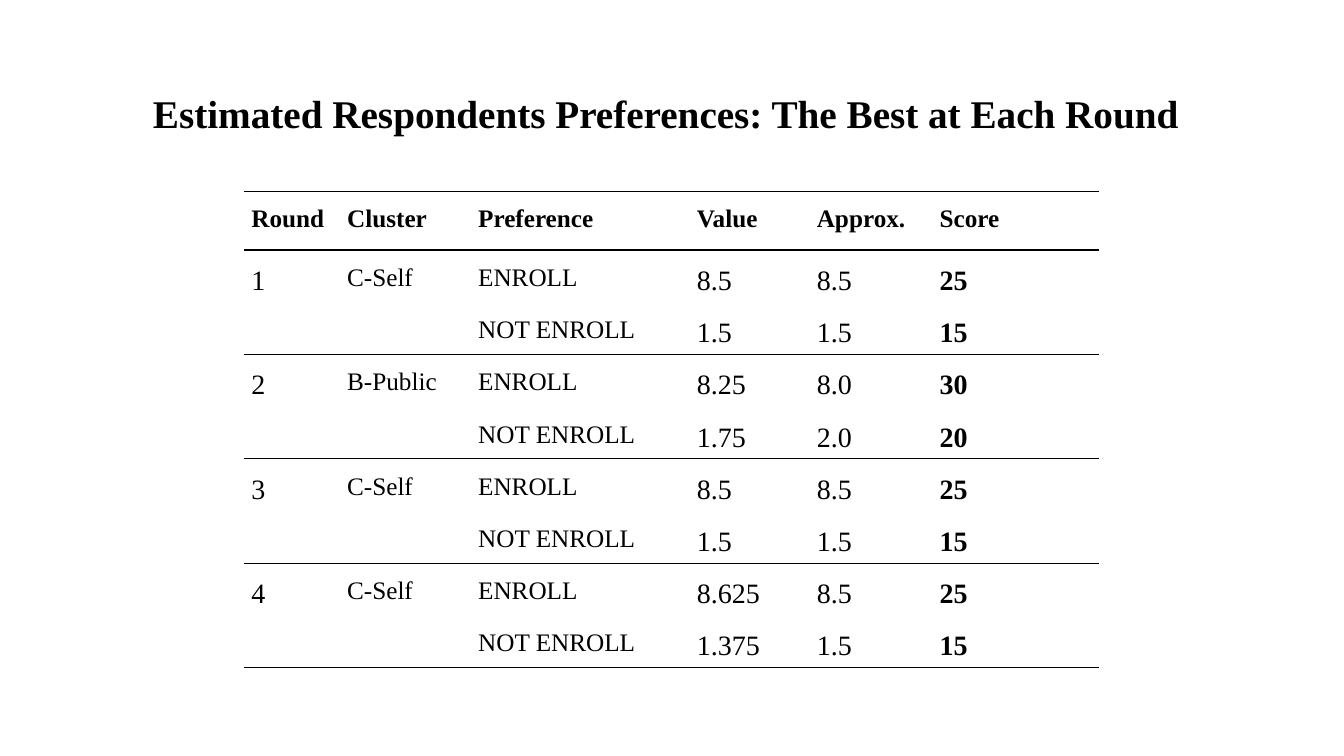
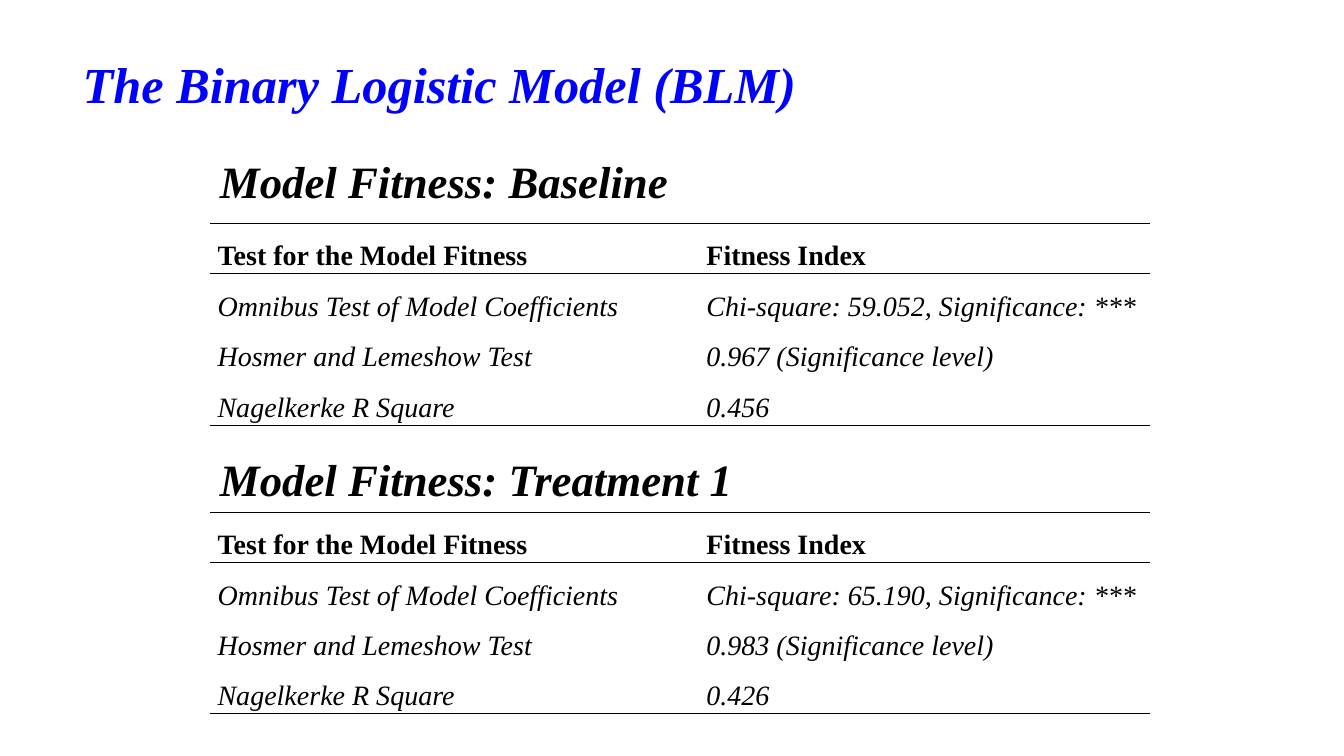
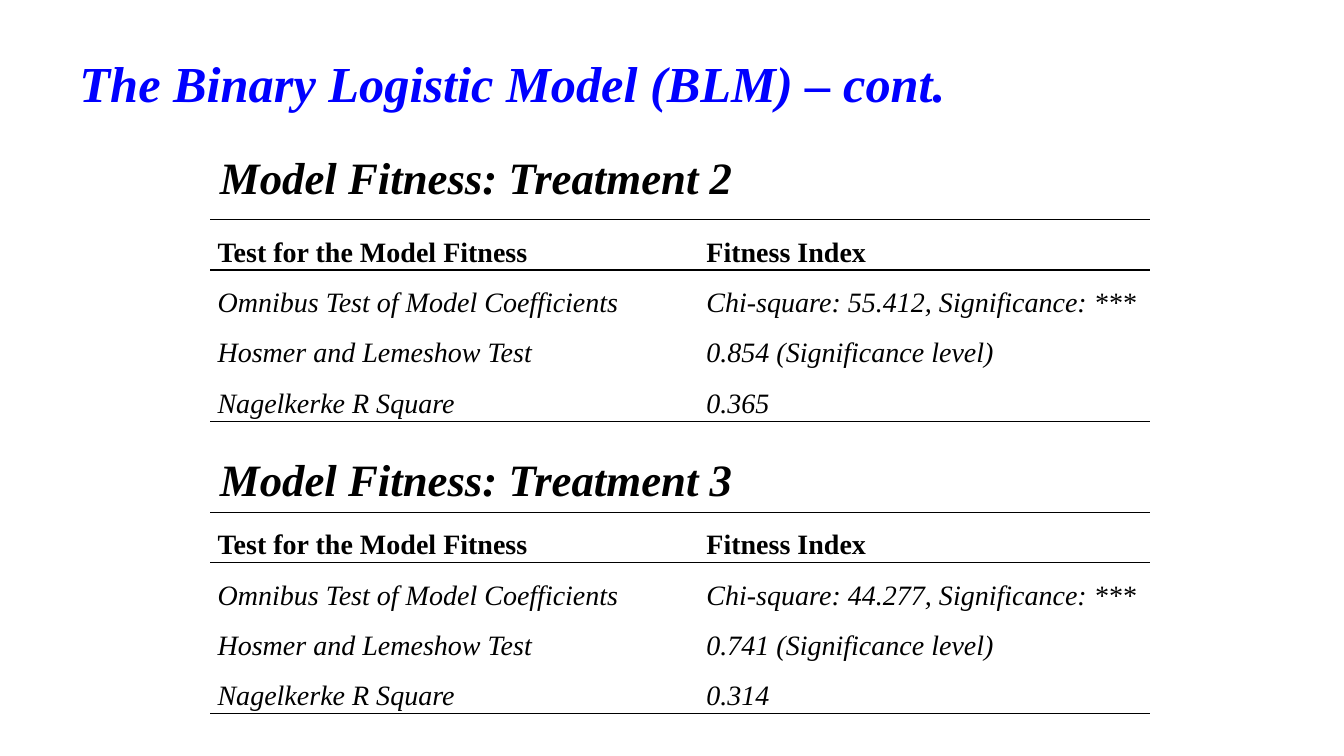
import lxml.etree
import pptx
import pptx.dml.color
import pptx.enum.text
import pptx.oxml.ns
import pptx.util

Pt = pptx.util.Pt
ALIGN = pptx.enum.text.PP_ALIGN
ANCHOR = pptx.enum.text.MSO_ANCHOR

FONT = "Times New Roman"
COLORS = {"text": "000000", "title": "0000FF", "rule": "000000"}
PLAIN_TABLE = "{2D5ABB26-0587-4C30-8999-92F81FD0307C}"

# Content: preferences
PREFERENCE_TITLE = "Estimated Respondents Preferences: The Best at Each Round"
PREFERENCE_HEADER = ("Round", "Cluster", "Preference", "Value", "Approx.", "Score")
ANSWERS = ("ENROLL", "NOT ENROLL")
ROUNDS = [  # cluster, then (value, approximation, score) for each answer
    ("C-Self", ("8.5", "8.5", "25"), ("1.5", "1.5", "15")),
    ("B-Public", ("8.25", "8.0", "30"), ("1.75", "2.0", "20")),
    ("C-Self", ("8.5", "8.5", "25"), ("1.5", "1.5", "15")),
    ("C-Self", ("8.625", "8.5", "25"), ("1.375", "1.5", "15")),
]
PREFERENCE_WIDTHS = (68.4, 93.6, 156.2, 85.7, 87.8, 119.5)
PREFERENCE_SIZES = (20, 18, 18, 20, 20, 20)
SCORE_COLUMN = 5

# Content: model fitness
FITNESS_HEADER = ("Test for the Model Fitness", "Fitness Index")
FITNESS_WIDTHS = (349.2, 322.6)
FITNESS_LEFT = 150
MODEL_SLIDES = [
    # title, its left and top; sections: name, heading top, table top, indices
    ("The Binary Logistic Model (BLM)", 52, 13, [
        ("Baseline", 87, 159.6, "59.052", "0.967", "0.456"),
        ("Treatment 1", 300.2, 365.8, "65.190", "0.983", "0.426"),
    ]),
    ("The Binary Logistic Model (BLM) – cont.", 49.7, 12.2, [
        ("Treatment 2", 84.2, 156.8, "55.412", "0.854", "0.365"),
        ("Treatment 3", 300.2, 365.8, "44.277", "0.741", "0.314"),
    ]),
]


def style_font(paragraph, size, color="text", bold=False, italic=False):
    font = paragraph.font
    font.name, font.size, font.bold, font.italic = FONT, Pt(size), bold, italic
    font.color.rgb = pptx.dml.color.RGBColor.from_string(COLORS[color])


def add_heading(slide, text, left, top, width, height, size, color="text",
                italic=True, spacing=1.5, wrap=True):
    box = slide.shapes.add_textbox(Pt(left), Pt(top), Pt(width), Pt(height))
    frame = box.text_frame
    frame.word_wrap = wrap
    frame.auto_size = pptx.enum.text.MSO_AUTO_SIZE.SHAPE_TO_FIT_TEXT
    paragraph = frame.paragraphs[0]
    paragraph.text = text
    paragraph.line_spacing = spacing
    style_font(paragraph, size, color, True, italic)


def rule_cell(cell, sides):
    """Draw a 1 pt line on each given side ("T", "B"), none on the others."""
    properties = cell._tc.get_or_add_tcPr()
    qn = pptx.oxml.ns.qn
    for side in "LRTB":
        line = lxml.etree.SubElement(properties, qn("a:ln" + side), w=str(Pt(1)))
        if side in sides:
            fill = lxml.etree.SubElement(line, qn("a:solidFill"))
            lxml.etree.SubElement(fill, qn("a:srgbClr"), val=COLORS["rule"])
        else:
            lxml.etree.SubElement(line, qn("a:noFill"))
    cell.fill.background()


def add_ruled_table(slide, rows, left, top, widths, heights, ruled_rows,
                    style_cell, anchor, align, merged_pairs=()):
    """Lines run above the table and below each of the ruled rows."""
    table = slide.shapes.add_table(len(rows), len(widths), Pt(left), Pt(top),
                                   Pt(sum(widths)), Pt(sum(heights))).table
    table.first_row = table.horz_banding = False
    table._tbl.tblPr.find(pptx.oxml.ns.qn("a:tableStyleId")).text = PLAIN_TABLE
    for column, width in zip(table.columns, widths):
        column.width = Pt(width)
    for r, (row, height) in enumerate(zip(rows, heights)):
        table.rows[r].height = Pt(height)
        for c, text in enumerate(row):
            cell = table.cell(r, c)
            cell.margin_left = cell.margin_right = Pt(5.4)
            cell.margin_top = cell.margin_bottom = 0
            cell.vertical_anchor = anchor
            paragraph = cell.text_frame.paragraphs[0]
            paragraph.text = text
            paragraph.line_spacing = 1.5
            paragraph.alignment = align
            style_font(paragraph, **style_cell(r, c))
            last_row = r + 1 if c == 0 and r in merged_pairs else r
            rule_cell(cell, ("T" if r == 0 or r - 1 in ruled_rows else "")
                      + ("B" if last_row in ruled_rows else ""))
    for r in merged_pairs:
        table.cell(r, 0).merge(table.cell(r + 1, 0))


def preference_style(r, c):
    return {"size": PREFERENCE_SIZES[c] if r else 18,
            "bold": r == 0 or c == SCORE_COLUMN}


def fitness_style(r, c):
    return {"size": 20, "bold": r == 0, "italic": r > 0}


def build_preferences(slide):
    add_heading(slide, PREFERENCE_TITLE, 102.2, 60.5, 755.3, 41, 28,
                italic=False, spacing=1, wrap=False)
    rows = [PREFERENCE_HEADER]
    for number, (cluster, *results) in enumerate(ROUNDS, 1):
        for i, (answer, result) in enumerate(zip(ANSWERS, results)):
            lead = ("", "") if i else (str(number), cluster)
            rows.append((*lead, answer, *result))
    add_ruled_table(slide, rows, 174.2, 136.6, PREFERENCE_WIDTHS,
                    [42] + [37.3] * (len(rows) - 1), range(0, len(rows), 2),
                    preference_style, ANCHOR.TOP, ALIGN.JUSTIFY,
                    range(1, len(rows), 2))


def build_model(slide, title, left, top, sections):
    add_heading(slide, title, left, top, 660, 65, 36, "title")
    for name, heading_top, table_top, chi_square, level, r_square in sections:
        rows = [
            FITNESS_HEADER,
            ("Omnibus Test of Model Coefficients",
             f"Chi-square: {chi_square}, Significance: ***"),
            ("Hosmer and Lemeshow Test", f"{level} (Significance level)"),
            ("Nagelkerke R Square", r_square),
        ]
        add_ruled_table(slide, rows, FITNESS_LEFT, table_top, FITNESS_WIDTHS,
                        [36] * len(rows), (0, len(rows) - 1),
                        fitness_style, ANCHOR.MIDDLE, ALIGN.LEFT)
        add_heading(slide, f"Model Fitness: {name}", FITNESS_LEFT, heading_top,
                    660, 58.5, 32)


def main():
    deck = pptx.Presentation()
    deck.slide_width, deck.slide_height = Pt(960), Pt(540)
    blank = deck.slide_layouts[6]
    build_preferences(deck.slides.add_slide(blank))
    for model in MODEL_SLIDES:
        build_model(deck.slides.add_slide(blank), *model)
    deck.save("out.pptx")


if __name__ == "__main__":
    main()
